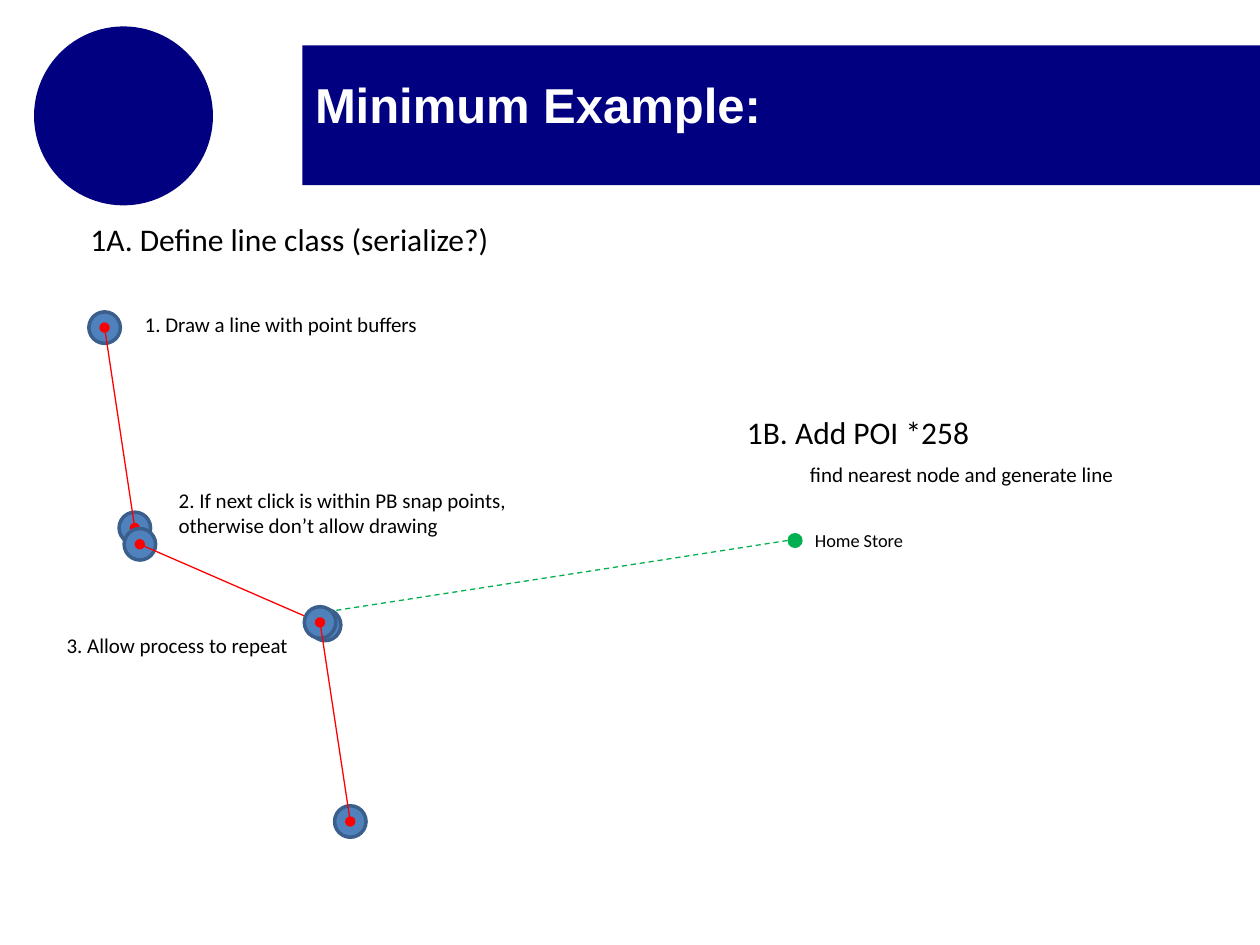
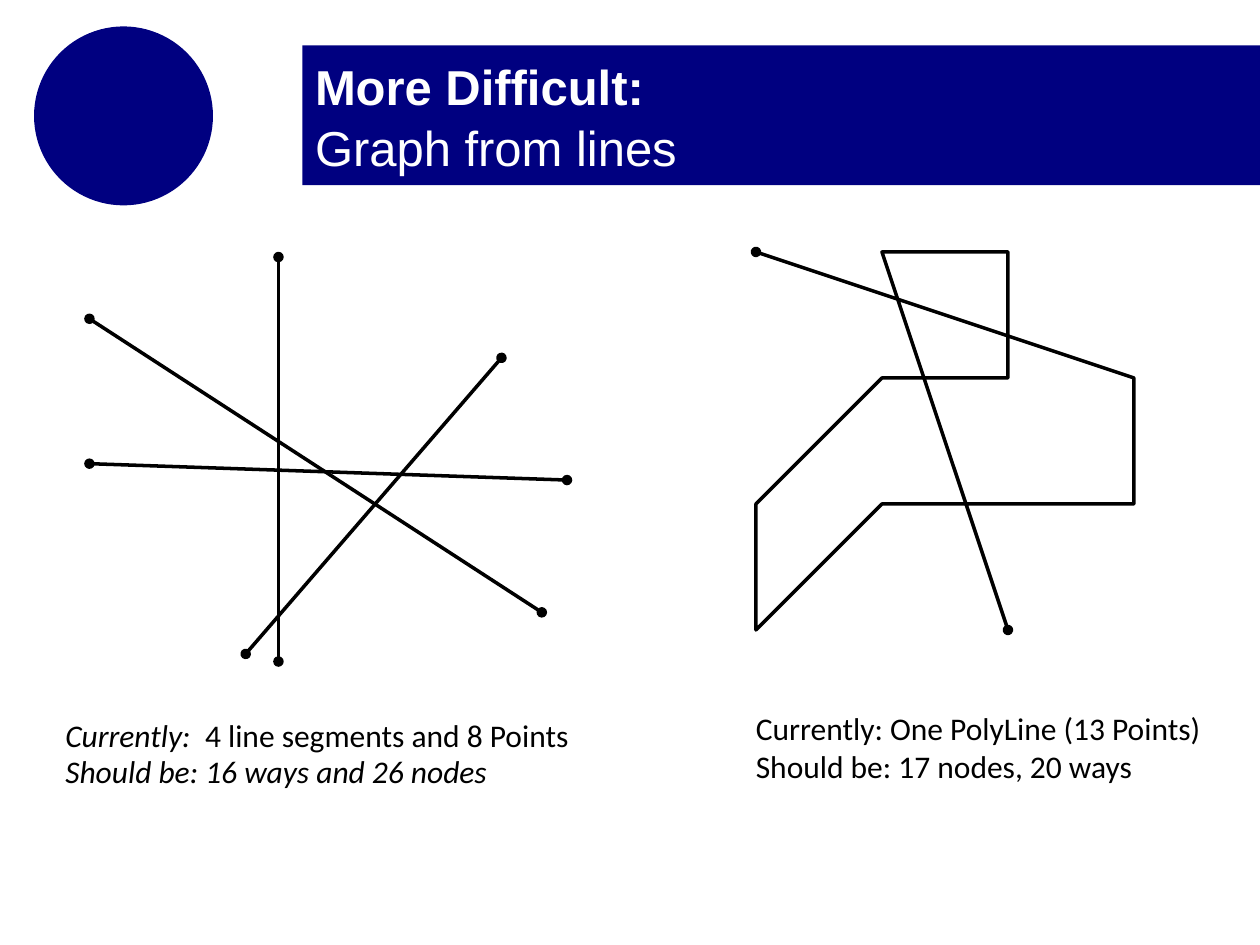
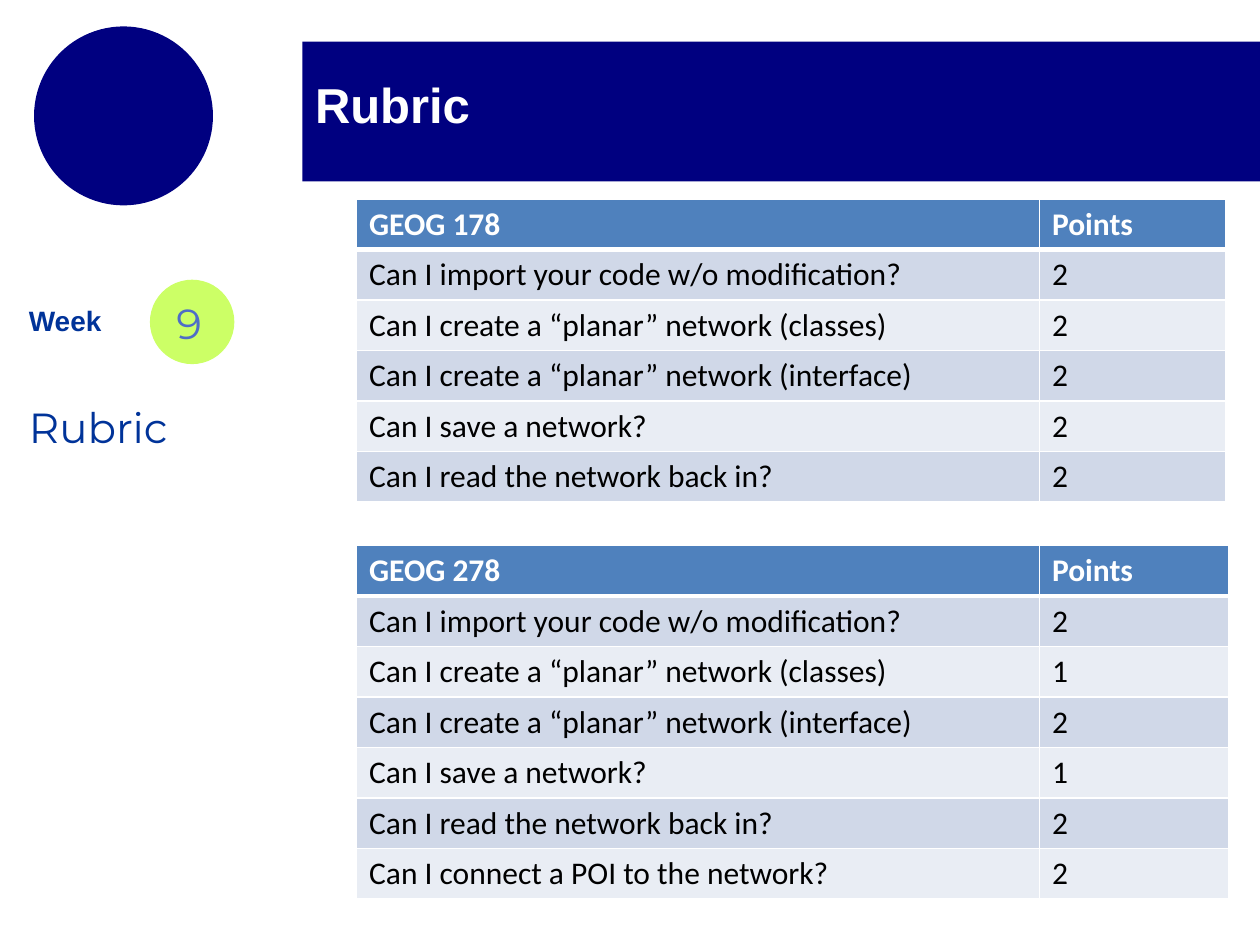
from lxml import etree
from pptx import Presentation, util as u
from pptx.dml.color import RGBColor
from pptx.enum import dml, shapes, text
from pptx.oxml import ns

NAVY, BLUE, BLUE_EDGE = "000080", "4F81BD", "3A5F8C"
RED, GREEN, BLACK, WHITE = "FF0000", "00B050", "000000", "FFFFFF"
LIME, WEEK_BLUE, NUMBER_BLUE = "CCFF66", "003399", "4E6DC7"
ROW_FILLS = ("D0D8E8", "E9EDF4")
TITLE = {"name": "Arial", "size": 28, "bold": True, "color": WHITE}
BUFFER_SIZE = 0.25


def rgb(value):
    return RGBColor.from_string(value)


def add_xml(parent, tag, **attributes):
    return etree.SubElement(parent, ns.qn(tag), attributes)


class Deck:
    def __init__(self):
        self.presentation = Presentation()
        self.presentation.slide_width = u.Inches(10)
        self.presentation.slide_height = u.Inches(7.5)
        self.slide = None

    def add_slide(self, title, title_top=0.58, band_top=0.36):
        """Start a slide with the circle, the title band and the title."""
        layout = self.presentation.slide_layouts[6]
        self.slide = self.presentation.slides.add_slide(layout)
        self.shape("OVAL", 0.27, 0.21, 1.42, 1.42, NAVY)
        self.shape("RECTANGLE", 2.4, band_top, 7.6, 1.11, NAVY)
        self.label(title, 2.5, title_top, 4.08, 0.49 * len(title), **TITLE)

    def shape(self, kind, left, top, width, height, fill, edge=None):
        shape = self.slide.shapes.add_shape(
            getattr(shapes.MSO_SHAPE, kind), *map(u.Inches, (left, top, width, height)))
        shape.shadow.inherit = False
        shape.fill.solid()
        shape.fill.fore_color.rgb = rgb(fill)
        if edge:
            shape.line.color.rgb = rgb(edge)
            shape.line.width = u.Pt(2)
        else:
            shape.line.fill.background()

    def buffer(self, x, y):
        """Point buffer centred on a node."""
        half = BUFFER_SIZE / 2
        self.shape("OVAL", x - half, y - half, BUFFER_SIZE, BUFFER_SIZE, BLUE, BLUE_EDGE)

    def stroke(self, shape, color, width, dots, dash=None):
        shape.line.color.rgb = rgb(color)
        shape.line.width = u.Pt(width)
        if dash:
            shape.line.dash_style = dash
        if dots:
            outline = shape.element.spPr.find(ns.qn("a:ln"))
            for end in ("a:headEnd", "a:tailEnd"):
                add_xml(outline, end, type="oval")

    def line(self, start, end, color=BLACK, width=2, dots=True, dash=None):
        connector = self.slide.shapes.add_connector(
            shapes.MSO_CONNECTOR.STRAIGHT, *map(u.Inches, (*start, *end)))
        self.stroke(connector, color, width, dots, dash)
        add_xml(connector.element.spPr, "a:effectLst")

    def polyline(self, points):
        (x, y), *others = points
        builder = self.slide.shapes.build_freeform(x, y, scale=u.Inches(1))
        builder.add_line_segments(others, close=False)
        shape = builder.convert_to_shape()
        shape.shadow.inherit = False
        shape.fill.background()
        self.stroke(shape, BLACK, 2, True)

    def add_runs(self, paragraph, runs, base):
        """Add runs, each a string or a (string, changes) pair."""
        for item in [runs] if isinstance(runs, str) else runs:
            words, changes = (item, {}) if isinstance(item, str) else item
            run = paragraph.add_run()
            run.text = words
            values = {**base, **changes}
            run.font.color.rgb = rgb(values.pop("color"))
            values["size"] = u.Pt(values["size"])
            for name, value in values.items():
                setattr(run.font, name, value)

    def text_box(self, paragraphs, left, top, width, height, frame_format, space, base):
        box = self.slide.shapes.add_textbox(*map(u.Inches, (left, top, width, height)))
        frame = box.text_frame
        frame.auto_size = text.MSO_AUTO_SIZE.SHAPE_TO_FIT_TEXT
        for name, value in frame_format.items():
            setattr(frame, name, value)
        for index, runs in enumerate(paragraphs):
            paragraph = frame.add_paragraph() if index else frame.paragraphs[0]
            paragraph.space_before = u.Pt(space)
            self.add_runs(paragraph, runs, base)

    def label(self, paragraphs, left, top, width, height, **font):
        """Wrapped text without side margins."""
        frame_format = {"word_wrap": True, "margin_left": 0, "margin_right": 0,
                        "margin_top": u.Inches(0.01), "margin_bottom": 0}
        self.text_box(paragraphs, left, top, width, height, frame_format, 1, font)

    def note(self, paragraphs, left, top, width, height, size=18, **font):
        """Unwrapped body text."""
        base = {"name": "Calibri", "size": size, "color": BLACK, **font}
        self.text_box(paragraphs, left, top, width, height, {"word_wrap": False}, 0, base)

    def cell(self, cell, words, fill, borders, **font):
        properties = cell._tc.get_or_add_tcPr()
        for side, width in borders.items():
            border = add_xml(properties, f"a:ln{side}", w=str(u.Pt(width)))
            add_xml(add_xml(border, "a:solidFill"), "a:srgbClr", val=WHITE)
        cell.fill.solid()
        cell.fill.fore_color.rgb = rgb(fill)
        self.add_runs(cell.text_frame.paragraphs[0], words,
                      {"name": "Calibri", "size": 18, **font})

    def table(self, rows, left, top, widths, row_height=0.4):
        frame = self.slide.shapes.add_table(
            len(rows), len(widths), u.Inches(left), u.Inches(top),
            u.Inches(sum(widths)), u.Inches(row_height * len(rows)))
        table = frame.table
        for column, width in zip(table.columns, widths):
            column.width = u.Inches(width)
        for index, row in enumerate(rows):
            header = index == 0
            fill = BLUE if header else ROW_FILLS[(index - 1) % 2]
            borders = {"L": 1, "R": 1, "T": 3 if index == 1 else 1, "B": 3 if header else 1}
            for position, words in enumerate(row):
                self.cell(table.cell(index, position), words, fill, borders,
                          bold=header, color=WHITE if header else BLACK)


def minimum_example(deck):
    deck.add_slide(["Minimum Example:"])
    # Drawn segments with their point buffers
    segments = [((0.83, 2.6), (1.07, 4.19)),
                ((2.58, 4.96), (1.11, 4.32)),
                ((2.78, 6.52), (2.54, 4.94))]
    for segment in segments:
        for node in segment:
            deck.buffer(*node)
        deck.line(*segment, color=RED, width=0.75)
    # Steps
    deck.note(["1. Draw a line with point buffers"], 1.05, 2.42, 2.43, 0.3, 12)
    deck.note(["2. If next click is within PB snap points,", "otherwise don’t allow drawing"],
              1.32, 3.82, 2.87, 0.5, 12)
    deck.note(["3. Allow process to repeat"], 0.43, 4.97, 1.98, 0.3, 12)
    deck.note(["1A. Define line class (serialize?)"], 0.62, 1.7, 3.4, 0.4)
    deck.note(["1B. Add POI *258", ["\t", ("find nearest node and generate line", {"size": 12})]],
              5.83, 3.23, 3.64, 0.71)
    # Point of interest
    deck.shape("OVAL", 6.25, 4.23, 0.12, 0.12, GREEN)
    deck.note(["Home Store"], 6.37, 4.15, 1, 0.29, 10.5)
    deck.line((6.25, 4.29), (2.63, 4.85), GREEN, 0.75, dots=False, dash=dml.MSO_LINE.DASH)


def graph_from_lines(deck):
    deck.add_slide(["More Difficult:", [("Graph from lines", {"bold": False})]], 0.44)
    # Crossing segments
    for start, end in [((2.21, 2.04), (2.21, 5.25)), ((0.71, 2.53), (4.3, 4.86)),
                       ((0.71, 3.68), (4.5, 3.81)), ((3.98, 2.84), (1.95, 5.19))]:
        deck.line(start, end)
    deck.note([["Currently:  ", ("4 line segments and 8 Points", {"italic": False})]],
              0.42, 5.63, 4.3, 0.4, italic=True)
    deck.note(["Should be: 16 ways and 26 nodes"], 0.42, 5.92, 3.65, 0.4, italic=True)
    # Self-crossing polyline
    deck.polyline([(6.25, 2.46), (8.51, 2.87), (8.67, 3.74), (8.51, 4.14), (7.06, 4),
                   (6.41, 4.66), (6.19, 3.69), (6.85, 3.19), (8.19, 3.34), (8.21, 2.33),
                   (7.1, 2.22), (7.62, 4.66), (8.4, 5.29)])
    deck.note(["Currently: One PolyLine (13 Points)", "Should be: 17 nodes, 20 ways"],
              5.9, 5.58, 3.82, 0.71)


def rubric(deck):
    deck.add_slide(["Rubric"], band_top=0.33)
    # Week marker
    deck.label(["Week"], 0.23, 2.4, 0.7, 0.3, name="Arial", size=16, bold=True, color=WEEK_BLUE)
    deck.shape("OVAL", 1.19, 2.22, 0.67, 0.67, LIME)
    deck.label(["9"], 1.4, 2.35, 0.25, 0.43, name="Montserrat", size=24, color=NUMBER_BLUE)
    deck.label(["Rubric"], 0.23, 3.18, 2.12, 0.43, name="Montserrat", size=24, color=WEEK_BLUE)
    # Points per course
    questions = ["Can I import your code w/o modification?",
                 "Can I create a “planar” network (classes)",
                 "Can I create a “planar” network (interface)",
                 "Can I save a network?",
                 "Can I read the network back in?",
                 "Can I connect a POI to the network?"]
    for course, points, top, points_width in [("GEOG 178", "22222", 1.58, 1.48),
                                              ("GEOG 278", "212122", 4.33, 1.5)]:
        deck.table([(course, "Points"), *zip(questions, points)], 2.83, top, (5.42, points_width))


def main():
    deck = Deck()
    minimum_example(deck)
    graph_from_lines(deck)
    rubric(deck)
    deck.presentation.save("out.pptx")


if __name__ == "__main__":
    main()
